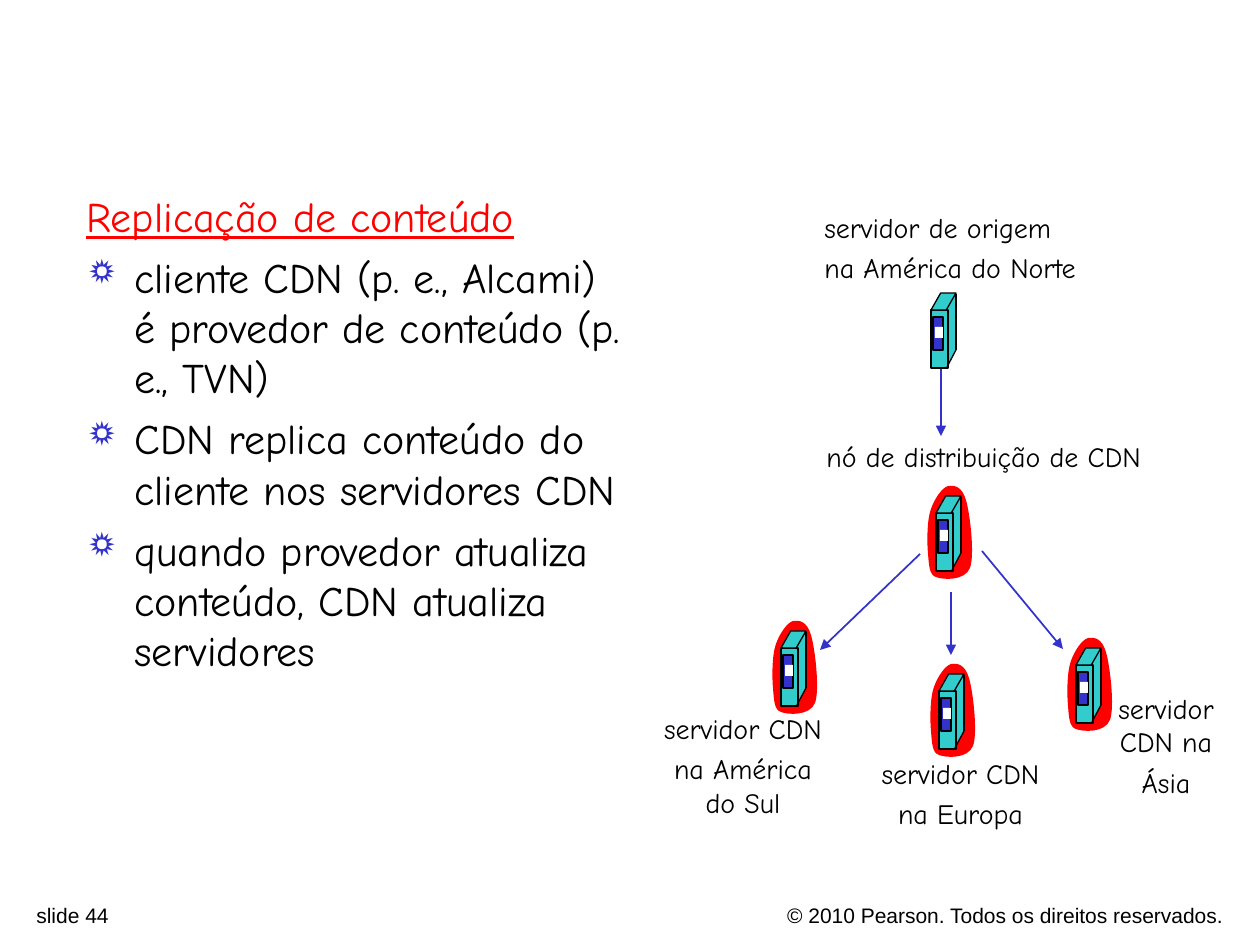
from lxml import etree
from pptx import Presentation, util as u
from pptx.dml.color import RGBColor
from pptx.enum import shapes, text
from pptx.oxml.ns import qn

PX = 914400 / 126
BLACK, RED, BLUE, TEAL, WHITE = "000000", "FF0000", "3333CC", "33CCCC", "FFFFFF"
LEFT, CENTER, RIGHT = text.PP_ALIGN.LEFT, text.PP_ALIGN.CENTER, text.PP_ALIGN.RIGHT

# Content: every length is in px
HEADING = "Replicação de conteúdo"
BULLETS = [
    "cliente CDN (p. e., Alcami) é provedor de conteúdo (p. e., TVN)",
    "CDN replica conteúdo do cliente nos servidores CDN",
    "quando provedor atualiza conteúdo, CDN atualiza servidores",
]
BODY_BOX = (74, 184, 561, 677)
FOOTERS = [
    ("© 2010 Pearson. Todos os direitos reservados.", (592, 896, 644, 30), RIGHT),
    ("slide 44", (24, 896, 444, 29), LEFT),
]
LABELS = [  # paragraphs, box, alignment
    (["servidor de origem", "na América do Norte"], (812, 204, 287, 87), LEFT),
    (["nó de distribuição de CDN"], (814, 433, 349, 47), LEFT),
    (["servidor CDN", "na América\ndo Sul"], (642, 705, 202, 121), CENTER),
    (["servidor CDN", "na Europa"], (864, 750, 193, 87), CENTER),
    (["servidor\nCDN na", "Ásia"], (1101, 685, 130, 121), CENTER),
]
SERVERS = [  # left, top, highlighted
    (931, 293, False),
    (781, 631, True),
    (939, 674, True),
    (1076, 648, True),
    (936, 496, True),
]
ARROWS = [
    (941, 369, 941, 436),
    (920, 554, 820, 650),
    (951, 592, 951, 655),
    (982, 551, 1063, 649),
]

# Server parts, relative to its top left corner
BOX, SLANT = shapes.MSO_SHAPE.RECTANGLE, shapes.MSO_SHAPE.PARALLELOGRAM
CASE = [  # preset, box, fill, outlined
    (SLANT, (0, 57, 25, 17), TEAL, False),
    (BOX, (13, 0, 12, 58), TEAL, False),
    (BOX, (0, 17, 17, 58), TEAL, True),
    (SLANT, (0, 0, 25, 17), TEAL, True),
]
EDGES = [(25, 1, 25, 57), (25, 57, 16, 74)]
PANEL = [
    (BOX, (2, 24, 10, 33), BLUE, True),
    (BOX, (4, 34, 8, 11), WHITE, False),
]
HALO_START = (-5, 13)
HALO_CURVES = [  # two control points and an end point
    ((-1, 2), (6, -8), (12, -10)),
    ((18, -11), (26, -10), (30, 4)),
    ((34, 17), (39, 59), (34, 72)),
    ((29, 85), (7, 84), (0, 81)),
    ((-7, 79), (-7, 68), (-8, 57)),
    ((-9, 46), (-9, 24), HALO_START),
]


def emu(*lengths):
    return [u.Emu(round(length * PX)) for length in lengths]


def color(value):
    return RGBColor.from_string(value)


def paint(shape, fill, outlined=False):
    shape.shadow.inherit = False
    shape.fill.solid()
    shape.fill.fore_color.rgb = color(fill)
    if outlined:
        shape.line.color.rgb = color(BLACK)
        shape.line.width = u.Pt(0.75)
    else:
        shape.line.fill.background()


def add_line(parent, ends, line_color, width, arrow=False):
    line = parent.add_connector(shapes.MSO_CONNECTOR.STRAIGHT, *emu(*ends))
    line.line.color.rgb = color(line_color)
    line.line.width = u.Pt(width)
    if arrow:
        etree.SubElement(line.line._get_or_add_ln(), qn("a:tailEnd"), type="triangle")
    etree.SubElement(line._element.spPr, qn("a:effectLst"))


def add_parts(parent, parts, left, top):
    for preset, (x, y, width, height), fill, outlined in parts:
        shape = parent.add_shape(preset, *emu(left + x, top + y, width, height))
        if preset == SLANT:
            shape.adjustments[0] = 0.57
        paint(shape, fill, outlined)


def add_halo(parent, left, top):
    builder = parent.build_freeform(*emu(left + HALO_START[0], top + HALO_START[1]))
    points = [emu(left + x, top + y) for curve in HALO_CURVES for x, y in curve]
    builder.add_line_segments(points, close=True)
    halo = builder.convert_to_shape()
    # Every three straight segments become one Bézier curve
    segments = list(halo._element.iter(qn("a:lnTo")))
    for first in range(0, len(segments), 3):
        curve = etree.Element(qn("a:cubicBezTo"))
        segments[first].addprevious(curve)
        for segment in segments[first:first + 3]:
            curve.append(segment[0])
            segment.getparent().remove(segment)
    paint(halo, RED)


def add_server(slide, left, top, highlighted):
    group = slide.shapes.add_group_shape().shapes
    if highlighted:
        add_halo(group, left, top)
    add_parts(group, CASE, left, top)
    for x1, y1, x2, y2 in EDGES:
        add_line(group, (left + x1, top + y1, left + x2, top + y2), BLACK, 0.75)
    add_parts(group, PANEL, left, top)


def add_text(slide, lines, box, size, font="Comic Neue", align=LEFT, gap=0):
    frame = slide.shapes.add_textbox(*emu(*box)).text_frame
    frame.word_wrap = True
    for index, line in enumerate(lines):
        paragraph = frame.add_paragraph() if index else frame.paragraphs[0]
        paragraph.alignment = align
        if index:
            paragraph.space_before = u.Pt(gap)
        for part_index, part in enumerate(line.split("\n")):
            if part_index:
                paragraph.add_line_break()
            run = paragraph.add_run()
            run.text = part
            run.font.size = u.Pt(size)
            run.font.name = font
            run.font.color.rgb = color(BLACK)
    return frame.paragraphs


def add_bullet(paragraph):
    properties = paragraph._p.get_or_add_pPr()
    indent = emu(48)[0]
    properties.set("marL", str(indent))
    properties.set("indent", str(-indent))
    bullet_color = etree.SubElement(properties, qn("a:buClr"))
    etree.SubElement(bullet_color, qn("a:srgbClr"), val=BLUE)
    etree.SubElement(properties, qn("a:buSzPct"), val="85000")
    etree.SubElement(properties, qn("a:buFont"), typeface="Wingdings")
    etree.SubElement(properties, qn("a:buChar"), char="❒")


def main():
    presentation = Presentation()
    presentation.slide_width, presentation.slide_height = emu(1260, 945)
    slide = presentation.slides.add_slide(presentation.slide_layouts[6])

    # Footer
    for line, box, align in FOOTERS:
        add_text(slide, [line], box, 12, "Arial", align)

    # Heading and bullets
    heading, *bullets = add_text(slide, [HEADING, *BULLETS], BODY_BOX, 24, gap=6)
    heading.runs[0].font.color.rgb = color(RED)
    heading.runs[0].font.underline = True
    for paragraph in bullets:
        add_bullet(paragraph)

    # Distribution diagram
    for server in SERVERS:
        add_server(slide, *server)
    for ends in ARROWS:
        add_line(slide.shapes, ends, BLUE, 1, arrow=True)
    for lines, box, align in LABELS:
        add_text(slide, lines, box, 16, align=align, gap=4)

    presentation.save("out.pptx")


if __name__ == "__main__":
    main()
